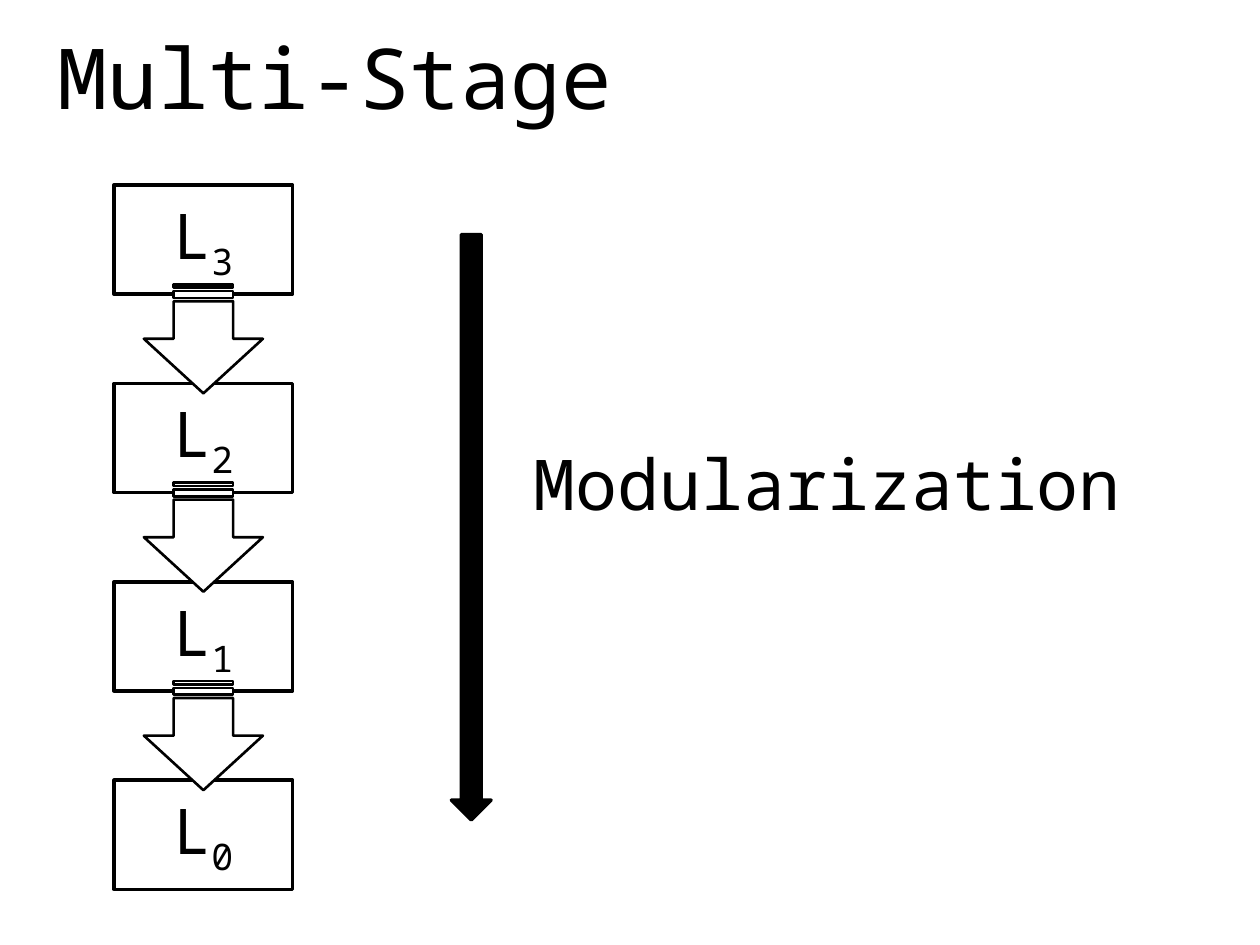
from pptx import Presentation
from pptx.dml.color import RGBColor
from pptx.enum.shapes import MSO_SHAPE
from pptx.enum.text import MSO_ANCHOR, MSO_AUTO_SIZE, PP_ALIGN
from pptx.util import Cm, Pt

COLORS = {"ink": "000000", "paper": "FFFFFF"}
FONT = "Noto Sans Mono"


def write(shape, text, size, align=PP_ALIGN.LEFT, subscript=None):
    frame = shape.text_frame
    frame.word_wrap = True
    frame.auto_size = MSO_AUTO_SIZE.NONE
    frame.vertical_anchor = MSO_ANCHOR.MIDDLE
    paragraph = frame.paragraphs[0]
    paragraph.alignment = align
    for part in filter(None, (text, subscript)):
        run = paragraph.add_run()
        run.text = part
        run.font.name = FONT
        run.font.size = Pt(size)
        run.font.color.rgb = RGBColor.from_string(COLORS["ink"])
    if subscript:
        run._r.get_or_add_rPr().set("baseline", "-25000")


def draw(kind, left, top, width, height, fill="paper", line=2):
    shape = slide.shapes.add_shape(kind, Cm(left), Cm(top), Cm(width), Cm(height))
    shape.shadow.inherit = False
    shape.fill.solid()
    shape.fill.fore_color.rgb = RGBColor.from_string(COLORS[fill])
    shape.line.color.rgb = RGBColor.from_string(COLORS["ink"])
    shape.line.width = Pt(line)
    return shape


prs = Presentation()
prs.slide_width, prs.slide_height = Cm(25.4), Cm(19.05)
slide = prs.slides.add_slide(prs.slide_layouts[5])

# Title
title = slide.shapes.title
title.left, title.top, title.width, title.height = Cm(0.9), Cm(0.53), Cm(18), Cm(2)
write(title, "Multi-Stage", 48)

# Language levels, from the highest down
levels = ["3", "2", "1", "0"]
level_left, level_top, level_width, level_height = 2.3, 3.73, 3.6, 2.2
pitch = 4
for row, level in enumerate(levels):
    box = draw(MSO_SHAPE.RECTANGLE, level_left, level_top + row * pitch,
               level_width, level_height)
    write(box, "L", 36, align=PP_ALIGN.CENTER, subscript=level)

# Stage arrows, centred in the gaps between levels
stage_length, stage_width = 2.2, 2.4
stage_left = level_left + (level_width - stage_length) / 2
stage_top = level_top + (level_height + pitch - stage_width) / 2
for row in range(len(levels) - 1):
    stage = draw(MSO_SHAPE.STRIPED_RIGHT_ARROW, stage_left, stage_top + row * pitch,
                 stage_length, stage_width, line=1.5)
    stage.rotation = 90

# Modularization direction and its label
draw(MSO_SHAPE.DOWN_ARROW, 9.1, 4.73, 0.8, 11.8, fill="ink")
modularization = slide.shapes.add_textbox(Cm(10.5), Cm(8.73), Cm(18), Cm(2))
write(modularization, "Modularization", 40)

prs.save("out.pptx")
